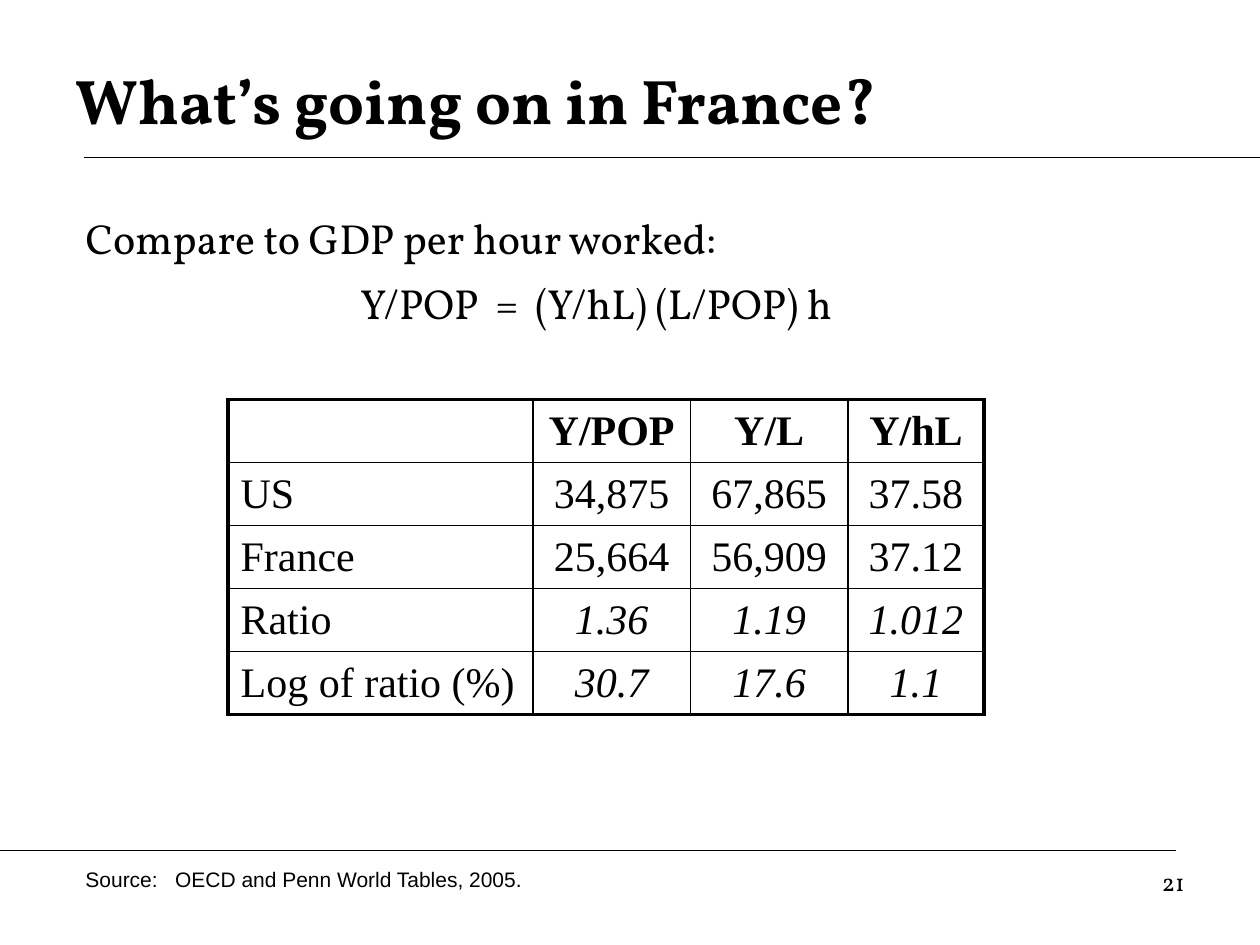
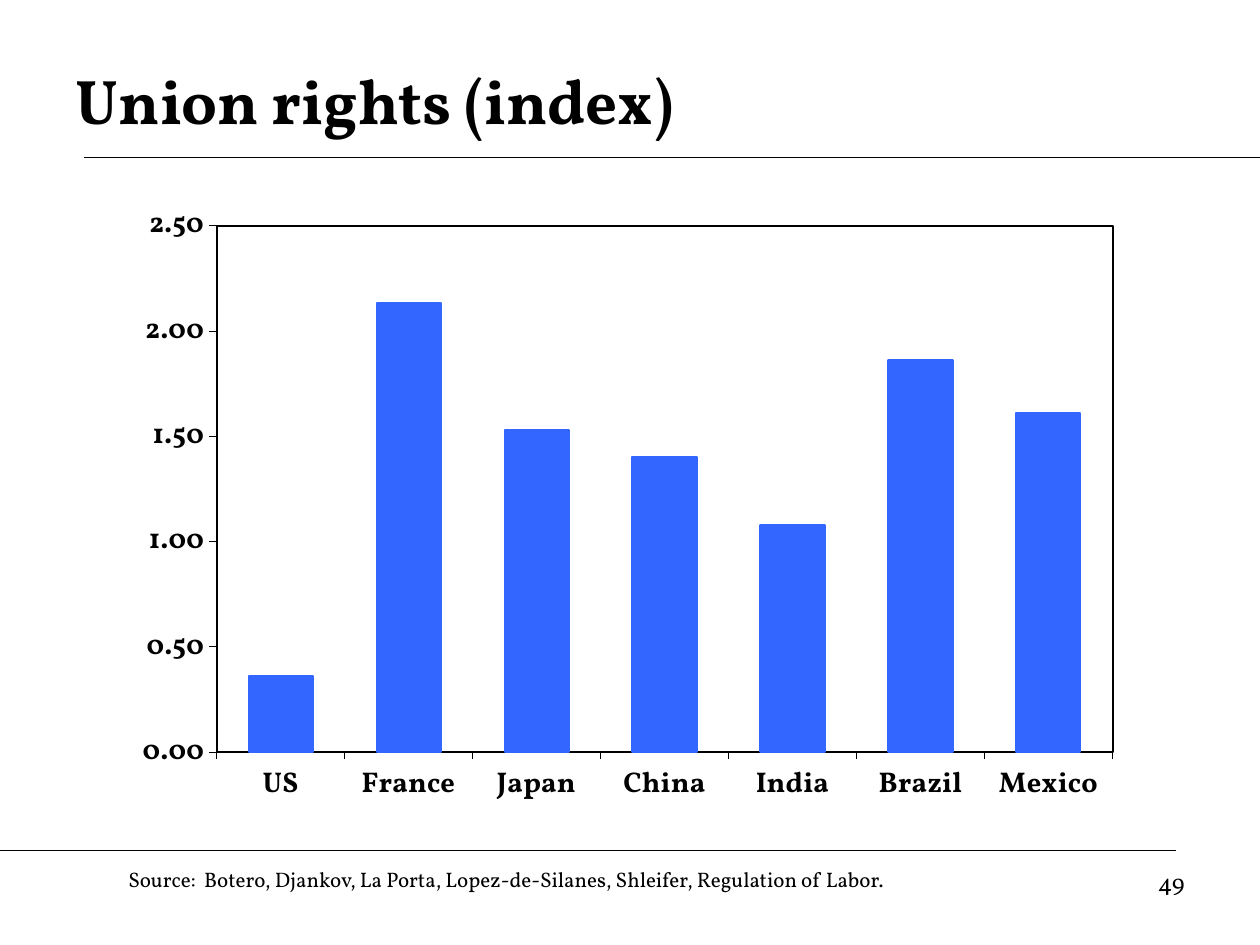
from lxml import etree
from pptx import Presentation
from pptx.chart.data import CategoryChartData
from pptx.dml.color import RGBColor
from pptx.enum.chart import XL_CHART_TYPE, XL_TICK_MARK
from pptx.enum.shapes import MSO_CONNECTOR
from pptx.enum.text import MSO_ANCHOR, MSO_AUTO_SIZE, PP_ALIGN
from pptx.oxml import parse_xml
from pptx.oxml.ns import nsdecls, qn
from pptx.util import Inches, Pt

LEFT, CENTER, RIGHT = PP_ALIGN.LEFT, PP_ALIGN.CENTER, PP_ALIGN.RIGHT
TOP, MIDDLE = MSO_ANCHOR.TOP, MSO_ANCHOR.MIDDLE
FIXED_SIZE = MSO_AUTO_SIZE.NONE
STRAIGHT = MSO_CONNECTOR.STRAIGHT
COLUMNS = XL_CHART_TYPE.COLUMN_CLUSTERED
TICK_OUT, TICK_NONE = XL_TICK_MARK.OUTSIDE, XL_TICK_MARK.NONE

BLACK, BLUE = "000000", "3366FF"
SERIF, TABLE_FONT, SANS = "Vollkorn", "Times New Roman", "Arial"
TITLE_AND_BODY, TITLE_ONLY = 1, 5

GDP_ROWS = [
    ["", "Y/POP", "Y/L", "Y/hL"],
    ["US", "34,875", "67,865", "37.58"],
    ["France", "25,664", "56,909", "37.12"],
    ["Ratio", "1.36", "1.19", "1.012"],
    ["Log of ratio (%)", "30.7", "17.6", "1.1"],
]
GDP_WIDTHS = [2.42, 1.25, 1.25, 1.08]
UNION_RIGHTS = {
    "US": 0.36, "France": 2.13, "Japan": 1.53, "China": 1.4,
    "India": 1.08, "Brazil": 1.86, "Mexico": 1.61,
}


def color(hex_code):
    return RGBColor.from_string(hex_code)


def style(font, size, name=SERIF, bold=False, italic=False):
    font.size = Pt(size)
    font.name = name
    font.bold = bold
    font.italic = italic
    font.color.rgb = color(BLACK)


def style_runs(paragraph, *args, **kwargs):
    for run in paragraph.runs:
        style(run.font, *args, **kwargs)


def place(shape, left, top, width, height):
    shape.left, shape.top = Inches(left), Inches(top)
    shape.width, shape.height = Inches(width), Inches(height)


def add_rule(slide, x1, x2, y):
    rule = slide.shapes.add_connector(
        STRAIGHT, Inches(x1), Inches(y), Inches(x2), Inches(y))
    rule.line.color.rgb = color(BLACK)
    rule.line.width = Pt(0.75)
    etree.SubElement(rule._element.spPr, qn("a:effectLst"))


def add_text(slide, box, text, size, name=SERIF, align=LEFT):
    frame = slide.shapes.add_textbox(*map(Inches, box)).text_frame
    frame.word_wrap = True
    frame.text = text
    frame.paragraphs[0].alignment = align
    style_runs(frame.paragraphs[0], size, name)


def add_slide(prs, layout, heading, number):
    slide = prs.slides.add_slide(prs.slide_layouts[layout])
    add_rule(slide, 0.67, 10, 1.25)
    add_rule(slide, 0, 9.33, 6.75)
    title = slide.shapes.title
    place(title, 0.5, 0.33, 9, 0.92)
    frame = title.text_frame
    frame.text = heading
    frame.auto_size = FIXED_SIZE
    frame.vertical_anchor = MIDDLE
    frame.paragraphs[0].alignment = LEFT
    style_runs(frame.paragraphs[0], 36, bold=True)
    add_text(slide, (7.17, 6.83, 2.33, 0.52), number, 14, align=RIGHT)
    return slide


def fill_body(slide, lines):
    body = slide.placeholders[1]
    place(body, 0.58, 1.64, 7.92, 1.11)
    frame = body.text_frame
    frame.text = "\n".join(text for text, _, _ in lines)
    frame.auto_size = FIXED_SIZE
    frame.vertical_anchor = TOP
    for index, (paragraph, (_, align, indent)) in enumerate(zip(frame.paragraphs, lines)):
        properties = paragraph._p.get_or_add_pPr()
        properties.set("marL", str(Inches(0.38)))
        properties.set("indent", str(Inches(indent)))
        etree.SubElement(properties, qn("a:buNone"))
        paragraph.alignment = align
        paragraph.space_before = Pt(8 if index else 0)
        style_runs(paragraph, 24)


def set_border(cell, side, width):
    cell._tc.get_or_add_tcPr().append(parse_xml(
        f'<a:ln{side} {nsdecls("a")} w="{Pt(width)}"><a:solidFill>'
        f'<a:srgbClr val="{BLACK}"/></a:solidFill></a:ln{side}>'))


def add_gdp_table(slide, left, top, rows, widths, row_height):
    last_row, last_column = len(rows) - 1, len(widths) - 1
    table = slide.shapes.add_table(
        len(rows), len(widths), Inches(left), Inches(top),
        Inches(sum(widths)), Inches(row_height * len(rows))).table
    table.first_row = table.horz_banding = False
    for column, width in zip(table.columns, widths):
        column.width = Inches(width)
    for r, row in enumerate(rows):
        for c, text in enumerate(row):
            cell = table.cell(r, c)
            cell.text = text
            cell.vertical_anchor = MIDDLE
            paragraph = cell.text_frame.paragraphs[0]
            paragraph.alignment = CENTER if c else LEFT
            style_runs(paragraph, 24, TABLE_FONT, bold=r == 0, italic=r > 2 and c > 0)
            outer_edges = {"L": c == 0, "R": c == last_column,
                           "T": r == 0, "B": r == last_row}
            for side, outer in outer_edges.items():
                set_border(cell, side, 2.25 if outer else 1)
            cell.fill.background()


def frame_plot(chart, x, y, width, height):
    plot_area = chart._chartSpace.chart.plotArea
    for layout in plot_area.findall(qn("c:layout")):
        plot_area.remove(layout)
    sizes = "".join(f'<c:{tag} val="{value}"/>' for tag, value in
                    zip("xywh", (x, y, width, height)))
    plot_area.insert(0, parse_xml(
        f'<c:layout {nsdecls("c")}><c:manualLayout><c:layoutTarget val="inner"/>'
        f'<c:xMode val="edge"/><c:yMode val="edge"/>{sizes}'
        f'</c:manualLayout></c:layout>'))
    plot_area.append(parse_xml(
        f'<c:spPr {nsdecls("c", "a")}><a:noFill/><a:ln w="{Pt(1.17)}"><a:solidFill>'
        f'<a:srgbClr val="{BLACK}"/></a:solidFill></a:ln></c:spPr>'))


def add_column_chart(slide, box, values):
    data = CategoryChartData(number_format="#,##0.00")
    data.categories = list(values)
    data.add_series("Series 1", list(values.values()))
    chart = slide.shapes.add_chart(COLUMNS, *map(Inches, box), data).chart
    chart.has_title = chart.has_legend = False
    style(chart.font, 21, TABLE_FONT, bold=True)
    for axis in (chart.category_axis, chart.value_axis):
        axis.has_major_gridlines = False
        axis.major_tick_mark = TICK_OUT
        axis.minor_tick_mark = TICK_NONE
        axis.format.line.color.rgb = color(BLACK)
        axis.format.line.width = Pt(0.29)
        style(axis.tick_labels.font, 16.3, bold=True)
    scale = chart.value_axis
    scale.minimum_scale, scale.maximum_scale, scale.major_unit = 0, 2.5, 0.5
    scale.tick_labels.number_format = "#,##0.00"
    scale.tick_labels.number_format_is_linked = False
    plot = chart.plots[0]
    plot.gap_width = 100
    plot.vary_by_categories = False
    columns = plot.series[0].format
    columns.fill.solid()
    columns.fill.fore_color.rgb = color(BLUE)
    columns.line.color.rgb = color(BLUE)
    columns.line.width = Pt(1.17)
    frame_plot(chart, 0.1, 0.07, 0.89, 0.79)


def main():
    prs = Presentation()
    prs.slide_width, prs.slide_height = Inches(10), Inches(7.5)

    france = add_slide(prs, TITLE_AND_BODY, "What’s going on in France?", "21")
    fill_body(france, [
        ("Compare to GDP per hour worked:", LEFT, -0.38),
        ("Y/POP  =  (Y/hL) (L/POP) h", CENTER, 0),
    ])
    add_gdp_table(france, 1.81, 3.17, GDP_ROWS, GDP_WIDTHS, 0.5)
    add_text(france, (0.58, 6.83, 4.08, 0.3),
             "Source:   OECD and Penn World Tables, 2005.", 12, SANS)

    unions = add_slide(prs, TITLE_ONLY, "Union rights (index)", "49")
    add_column_chart(unions, (0.92, 1.42, 7.99, 5.29), UNION_RIGHTS)
    add_text(unions, (0.92, 6.83, 6.83, 0.3),
             "Source:  Botero, Djankov, La Porta, Lopez-de-Silanes, Shleifer, "
             "Regulation of Labor.", 12)

    prs.save("out.pptx")


if __name__ == "__main__":
    main()
